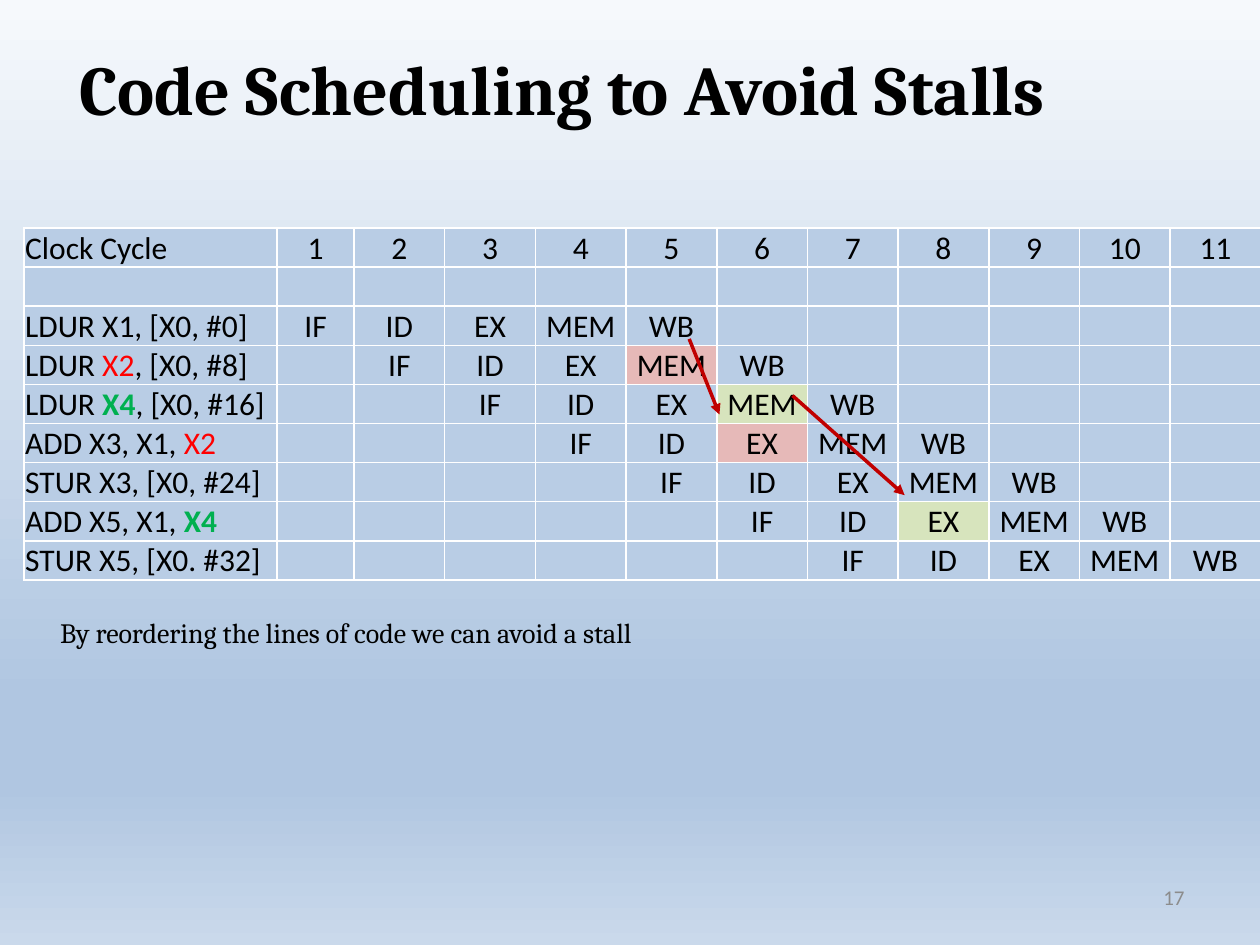
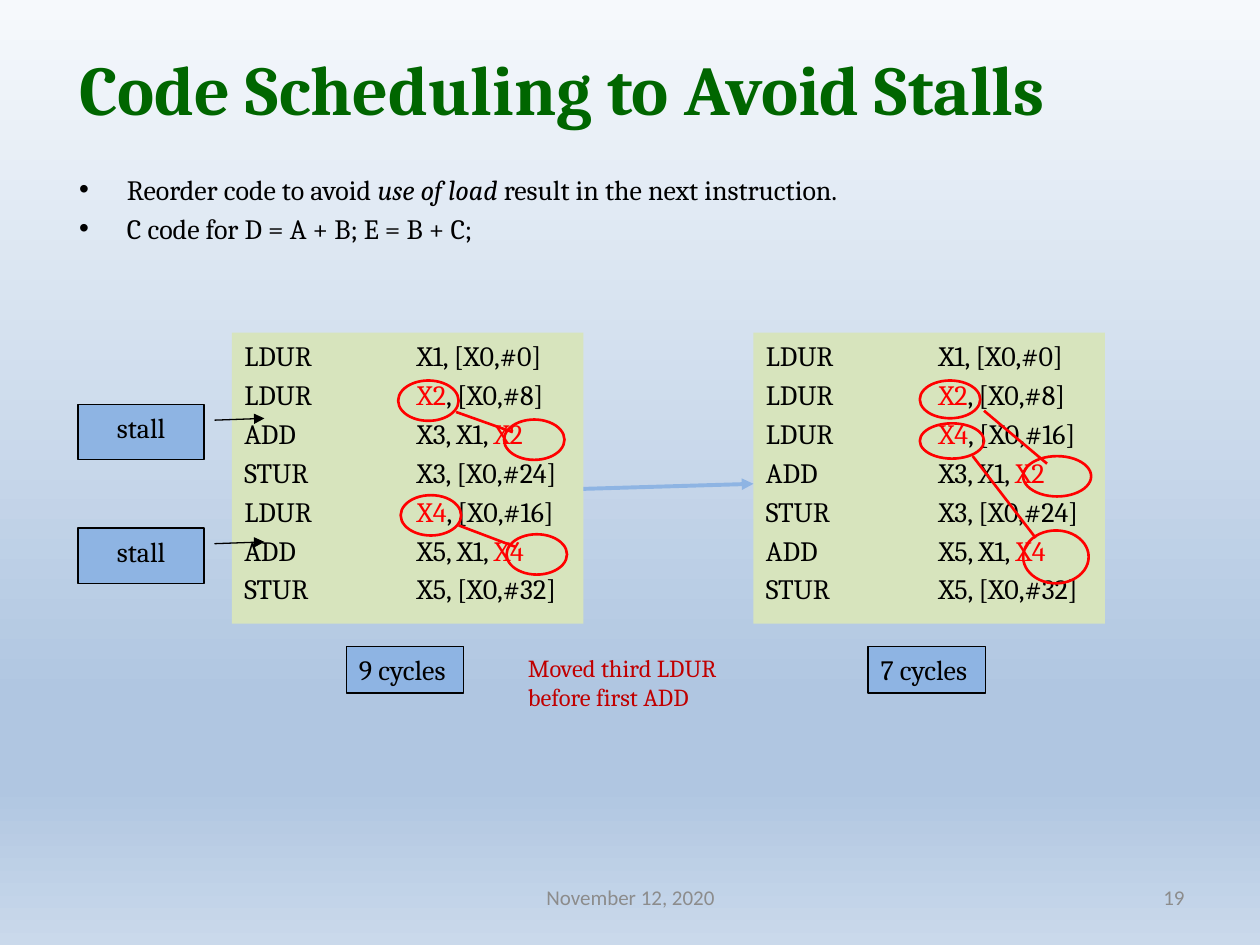
from lxml.etree import SubElement
from pptx import Presentation
from pptx.dml.color import RGBColor
from pptx.enum.shapes import MSO_CONNECTOR, MSO_SHAPE
from pptx.enum.text import MSO_ANCHOR, PP_ALIGN
from pptx.oxml.ns import qn
from pptx.util import Inches, Pt

SERIF, SANS = "Cambria", "Calibri"
BLACK, GREY, WHITE = "000000", "8C8C8C", "FFFFFF"
RED, DARK_RED, GREEN, DARK_GREEN = "FF0000", "C00000", "00B050", "006600"
PALE_BLUE, PALE_RED, PALE_GREEN, MID_BLUE = "B9CDE5", "E6B9B8", "D7E4BD", "8EB4E3"
BACKGROUND_STOPS = [(0, "F6F9FC"), (74, "B0C6E1"), (83, "B0C6E1"), (100, "CAD9EB")]
TITLE = "Code Scheduling to Avoid Stalls"

STAGES = ["IF", "ID", "EX", "MEM", "WB"]
CYCLES = 11
ROW_HEIGHT = 0.31
HOT_RED = {"color": RED}
HOT_GREEN = {"color": GREEN, "bold": True}
PIPELINE = [
    [("LDUR X1, [X0, #0]", {})],
    [("LDUR ", {}), ("X2", HOT_RED), (", [X0, #8]", {})],
    [("LDUR ", {}), ("X4", HOT_GREEN), (", [X0, #16]", {})],
    [("ADD X3, X1, ", {}), ("X2", HOT_RED)],
    [("STUR X3, [X0, #24]", {})],
    [("ADD X5, X1, ", {}), ("X4", HOT_GREEN)],
    [("STUR X5, [X0. #32]", {})],
]
# (instruction, stage) of each load and of the add that needs its result
HAZARDS = {(1, "MEM"): PALE_RED, (3, "EX"): PALE_RED,
           (2, "MEM"): PALE_GREEN, (5, "EX"): PALE_GREEN}

STALLING_CODE = [
    [("LDUR\t\tX1, [X0,#0]", {})],
    [("LDUR\t\t", {}), ("X2", HOT_RED), (", [X0,#8]", {})],
    [("ADD\t\tX3, X1, ", {}), ("X2", HOT_RED)],
    [("STUR\t\tX3, [X0,#24]", {})],
    [("LDUR\t\t", {}), ("X4", HOT_RED), (", [X0,#16]", {})],
    [("ADD\t\tX5, X1, ", {}), ("X4", HOT_RED)],
    [("STUR\t\tX5, [X0,#32]", {})],
]
REORDERED_CODE = [STALLING_CODE[line] for line in (0, 1, 4, 2, 3, 5, 6)]

REGISTER_RINGS = [
    (3.16, 3.02, 0.48, 0.32), (4, 3.33, 0.48, 0.32),
    (3.18, 3.93, 0.48, 0.32), (4.02, 4.24, 0.48, 0.32),
    (7.3, 3.02, 0.48, 0.3), (8.12, 3.62, 0.54, 0.32),
    (7.3, 3.36, 0.51, 0.28), (8.12, 4.21, 0.52, 0.42),
]
DEPENDENCIES = [
    ((3.62, 3.27), (4.07, 3.43)), ((3.64, 4.17), (4.09, 4.34)),
    ((7.81, 3.26), (8.31, 3.68)), ((7.72, 3.62), (8.22, 4.27)),
]


def rgb(value):
    return RGBColor.from_string(value)


def inches(*lengths):
    return [Inches(length) for length in lengths]


def add_runs(paragraph, pieces, size, font=SERIF, color=BLACK, align=None):
    """Add (text, style) pieces; a style may set color, bold and italic."""
    paragraph.alignment = align
    for text, style in pieces:
        run = paragraph.add_run()
        run.text = text
        run.font.name, run.font.size = font, Pt(size)
        run.font.color.rgb = rgb(style.get("color", color))
        run.font.bold = style.get("bold", False)
        run.font.italic = style.get("italic", False)


def fill_lines(frame, lines, size, space_before=0, **style):
    frame.word_wrap = True
    for index, pieces in enumerate(lines):
        paragraph = frame.add_paragraph() if index else frame.paragraphs[0]
        paragraph.space_before = Pt(space_before)
        add_runs(paragraph, pieces, size, **style)


def add_label(slide, box, lines, size, anchor=MSO_ANCHOR.TOP, **style):
    frame = slide.shapes.add_textbox(*inches(*box)).text_frame
    frame.vertical_anchor = anchor
    fill_lines(frame, lines, size, **style)
    return frame


def add_box(slide, box, fill=None, line=None, width=0.75, kind=MSO_SHAPE.RECTANGLE):
    shape = slide.shapes.add_shape(kind, *inches(*box))
    shape.shadow.inherit = False
    if fill:
        shape.fill.solid()
        shape.fill.fore_color.rgb = rgb(fill)
    else:
        shape.fill.background()
    if line:
        shape.line.color.rgb = rgb(line)
        shape.line.width = Pt(width)
    else:
        shape.line.fill.background()
    shape.text_frame.vertical_anchor = MSO_ANCHOR.TOP
    return shape


def add_arrowhead(shape):
    outline = shape.element.spPr.find(qn("a:ln"))
    SubElement(outline, qn("a:tailEnd"), type="triangle")


def add_line(slide, start, end, color, width, arrow=False):
    connector = slide.shapes.add_connector(
        MSO_CONNECTOR.STRAIGHT, *inches(*start, *end))
    connector.line.color.rgb = rgb(color)
    connector.line.width = Pt(width)
    if arrow:
        add_arrowhead(connector)
    SubElement(connector.element.spPr, qn("a:effectLst"))


def set_background(master):
    fill = master.background.fill
    fill.gradient()
    fill.gradient_angle = 270
    stops = master.element.find(".//" + qn("a:gsLst"))
    for stop in list(stops):
        stops.remove(stop)
    for percent, color in BACKGROUND_STOPS:
        stop = SubElement(stops, qn("a:gs"), pos=str(percent * 1000))
        SubElement(stop, qn("a:srgbClr"), val=color)


def add_slide(deck, title_color, number, date=None):
    slide = deck.slides.add_slide(deck.slide_layouts[5])
    title = slide.shapes.title
    title.left, title.top, title.width, title.height = inches(0.53, 0.31, 9.03, 0.83)
    title.text_frame.vertical_anchor = MSO_ANCHOR.TOP
    fill_lines(title.text_frame, [[(TITLE, {"bold": True})]], 40,
               color=title_color, align=PP_ALIGN.LEFT)
    footers = [((7.17, 6.92, 2.33, 0.4), number, PP_ALIGN.RIGHT)]
    if date:
        footers.append(((3.42, 6.92, 3.17, 0.4), date, PP_ALIGN.CENTER))
    for box, text, align in footers:
        add_label(slide, box, [[(text, {})]], 12, MSO_ANCHOR.MIDDLE,
                  font=SANS, color=GREY, align=align)
    return slide


def format_cell(cell, pieces, fill, align):
    cell.margin_left = cell.margin_right = cell.margin_top = Inches(0.01)
    cell.margin_bottom = 0
    cell.vertical_anchor = MSO_ANCHOR.BOTTOM
    paragraph = cell.text_frame.paragraphs[0]
    paragraph.font.size = Pt(18)
    add_runs(paragraph, pieces, 18, SANS, align=align)
    properties = cell._tc.get_or_add_tcPr()
    for side in ("lnL", "lnR", "lnT", "lnB"):
        border = SubElement(properties, qn("a:" + side), w=str(Pt(1)))
        color = SubElement(border, qn("a:solidFill"))
        SubElement(color, qn("a:srgbClr"), val=WHITE)
    cell.fill.solid()
    cell.fill.fore_color.rgb = rgb(fill)


def add_pipeline_table(slide):
    widths = [2.01, 0.61] + [0.72] * (CYCLES - 1)
    header = [[("Clock Cycle", {})]] + [[(str(c), {})] for c in range(1, CYCLES + 1)]
    rows = [header, [[]] * (CYCLES + 1)]
    fills = {}
    for index, instruction in enumerate(PIPELINE):
        row = [instruction] + [[] for _ in range(CYCLES)]
        for cycle, stage in enumerate(STAGES, index + 1):
            row[cycle] = [(stage, {})]
            if (index, stage) in HAZARDS:
                fills[len(rows), cycle] = HAZARDS[index, stage]
        rows.append(row)
    table = slide.shapes.add_table(
        len(rows), len(widths),
        *inches(0.19, 1.81, sum(widths), ROW_HEIGHT * len(rows))).table
    table.first_row = table.horz_banding = False
    for column, width in zip(table.columns, widths):
        column.width = Inches(width)
    for r, row in enumerate(rows):
        table.rows[r].height = Inches(ROW_HEIGHT)
        for c, pieces in enumerate(row):
            format_cell(table.cell(r, c), pieces, fills.get((r, c), PALE_BLUE),
                        PP_ALIGN.CENTER if c else PP_ALIGN.LEFT)


def add_bullets(slide, box, lines):
    frame = add_label(slide, box, lines, 16, space_before=3)
    frame.paragraphs[0].alignment = PP_ALIGN.JUSTIFY
    for paragraph in frame.paragraphs:
        properties = paragraph._p.get_or_add_pPr()
        properties.set("marL", str(Inches(0.38)))
        properties.set("indent", str(-Inches(0.38)))
        SubElement(properties, qn("a:buFont"), typeface="Arial")
        SubElement(properties, qn("a:buChar"), char="•")


def add_code(slide, left, code, cycles):
    """Add a listing with its cycle count below."""
    listing = add_box(slide, (left, 2.64, 2.79, 2.31), PALE_GREEN).text_frame
    fill_lines(listing, code, 16, space_before=3, align=PP_ALIGN.LEFT)
    for paragraph in listing.paragraphs:
        tabs = SubElement(paragraph._p.get_or_add_pPr(), qn("a:tabLst"))
        for position in (0.68, 1.37):
            SubElement(tabs, qn("a:tab"), pos=str(Inches(position)), algn="l")
    count = add_box(slide, (left + 0.91, 5.13, 0.93, 0.37), MID_BLUE, BLACK)
    fill_lines(count.text_frame, [[(cycles, {})]], 16, align=PP_ALIGN.LEFT)


def add_stall(slide, top):
    stall = add_box(slide, (0.62, top, 1, 0.44), MID_BLUE, BLACK,
                    kind=MSO_SHAPE.LINE_CALLOUT_1)
    for index, value in enumerate((0.285, 1.083, 0.253, 1.479)):
        stall.adjustments[index] = value
    add_arrowhead(stall)
    fill_lines(stall.text_frame, [[("stall", {})]], 16, align=PP_ALIGN.CENTER)


def build_pipeline_slide(deck):
    slide = add_slide(deck, BLACK, "17")
    add_pipeline_table(slide)
    add_line(slide, (5.47, 2.69), (5.71, 3.29), DARK_RED, 2, arrow=True)
    add_line(slide, (6.29, 3.14), (7.18, 3.93), DARK_RED, 2, arrow=True)
    add_label(slide, (0.38, 4.84, 8.57, 0.37),
              [[("By reordering the lines of code we can avoid a stall", {})]], 16)


def build_reordering_slide(deck):
    slide = add_slide(deck, DARK_GREEN, "19", "November 12, 2020")
    add_bullets(slide, (0.53, 1.32, 9.03, 0.94), [
        [("Reorder code to avoid ", {}), ("use of load ", {"italic": True}),
         ("result in the next instruction.", {})],
        [("C code for D = A + B; E = B + C;", {})],
    ])
    add_code(slide, 1.84, STALLING_CODE, "9 cycles")
    add_code(slide, 5.98, REORDERED_CODE, "7 cycles")
    for top in (3.21, 4.19):
        add_stall(slide, top)
    for ring in REGISTER_RINGS:
        add_box(slide, ring, line=RED, width=1.5, kind=MSO_SHAPE.OVAL)
    for start, end in DEPENDENCIES:
        add_line(slide, start, end, RED, 1.5)
    add_line(slide, (4.63, 3.88), (5.98, 3.84), MID_BLUE, 2.25, arrow=True)
    add_label(slide, (4.09, 5.13, 1.89, 0.57),
              [[("Moved third LDUR before first ADD", {})]], 14, color=DARK_RED)


def main():
    deck = Presentation()
    deck.slide_width, deck.slide_height = inches(10, 7.5)
    set_background(deck.slide_master)
    build_pipeline_slide(deck)
    build_reordering_slide(deck)
    deck.save("out.pptx")


if __name__ == "__main__":
    main()
